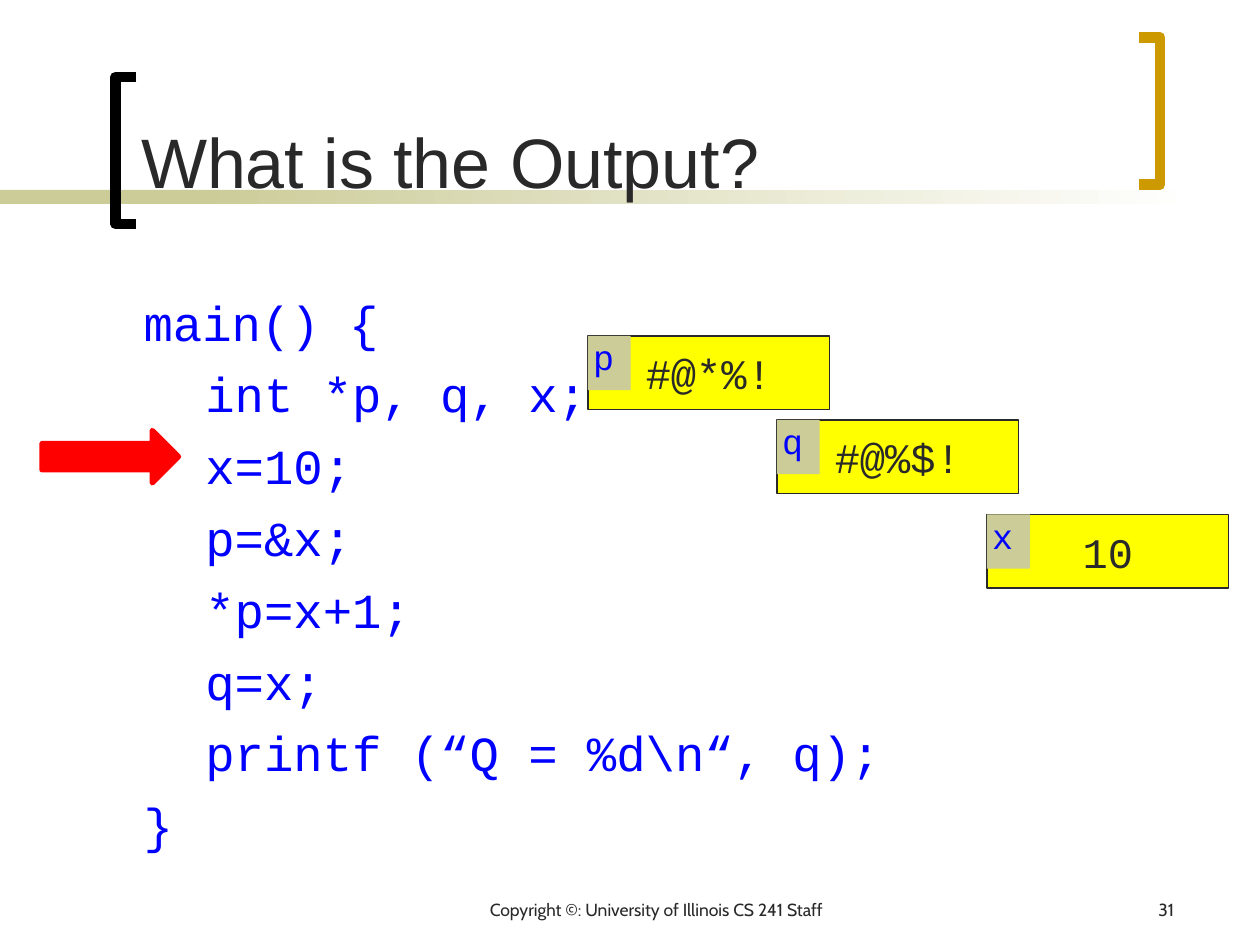
"""Build the slide that traces pointer variables through a short C program."""
from pptx import Presentation, util as u
from pptx.dml.color import RGBColor
from pptx.enum import shapes, text

BLACK = RGBColor(0x00, 0x00, 0x00)
WHITE = RGBColor(0xFF, 0xFF, 0xFF)
GOLD = RGBColor(0xCC, 0x99, 0x00)
KHAKI = RGBColor(0xCC, 0xCC, 0x99)
INK = RGBColor(0x29, 0x29, 0x29)
BLUE = RGBColor(0x00, 0x00, 0xFF)
YELLOW = RGBColor(0xFF, 0xFF, 0x00)
RED = RGBColor(0xFF, 0x00, 0x00)

CODE = [
    (0, "main() {"),
    (1, "int *p, q, x;"),
    (1, "x=10;"),
    (1, "p=&x;"),
    (1, "*p=x+1;"),
    (1, "q=x;"),
    (1, "printf (“Q = %d\\n“, q);"),
    (0, "}"),
]
VARIABLES = [("p", "#@*%!", 336, 192), ("q", "#@%$!", 444, 240), ("x", "10", 564, 294)]


class Deck:
    heading, mono, small = "Arial", "Courier New", "Cabin"
    code_indent, code_gap = 35.3, 7.4

    def __init__(self):
        self.presentation = Presentation()
        self.presentation.slide_width = u.Pt(720)
        self.presentation.slide_height = u.Pt(540)
        self.slide = self.presentation.slides.add_slide(self.presentation.slide_layouts[6])

    def shape(self, kind, box, fill, line=None, width=0.75):
        shape = self.slide.shapes.add_shape(kind, *map(u.Pt, box))
        shape.shadow.inherit = False
        shape.fill.solid()
        shape.fill.fore_color.rgb = fill
        if line is None:
            shape.line.fill.background()
        else:
            shape.line.color.rgb = line
            shape.line.width = u.Pt(width)
        return shape

    def rectangle(self, box, fill, line=None):
        return self.shape(shapes.MSO_SHAPE.RECTANGLE, box, fill, line)

    def fade(self, box, start, end):
        shape = self.rectangle(box, start)
        shape.fill.gradient()
        shape.fill.gradient_angle = 0
        for stop, color in zip(shape.fill.gradient_stops, (start, end)):
            stop.color.rgb = color

    def bracket(self, tip, spine, top, height, color):
        builder = self.slide.shapes.build_freeform(u.Pt(tip), u.Pt(top))
        corners = [(spine, top), (spine, top + height), (tip, top + height)]
        builder.add_line_segments([(u.Pt(x), u.Pt(y)) for x, y in corners], close=False)
        shape = builder.convert_to_shape()
        shape.shadow.inherit = False
        shape.fill.background()
        shape.line.color.rgb = color
        shape.line.width = u.Pt(6)

    def set_text(self, shape, lines, font, size, color, align=text.PP_ALIGN.LEFT,
                 anchor=text.MSO_ANCHOR.TOP, insets=(7.2, 3.6, 7.2, 3.6)):
        frame = shape.text_frame
        frame.text = "\n".join(lines)
        frame.word_wrap = True
        frame.vertical_anchor = anchor
        (frame.margin_left, frame.margin_top,
         frame.margin_right, frame.margin_bottom) = map(u.Pt, insets)
        for paragraph in frame.paragraphs:
            paragraph.alignment = align
            for run in paragraph.runs:
                run.font.name = font
                run.font.size = u.Pt(size)
                run.font.color.rgb = color
        return frame

    def label(self, box, content, font, size, color, **layout):
        shape = self.slide.shapes.add_textbox(*map(u.Pt, box))
        return self.set_text(shape, [content], font, size, color, **layout)

    def code(self, box, lines):
        shape = self.slide.shapes.add_textbox(*map(u.Pt, box))
        frame = self.set_text(shape, [line for _, line in lines], self.mono, 28, BLUE,
                              insets=(7.2, 3.6 + self.code_gap, 10, 3.6))
        for index, (level, _) in enumerate(lines):
            paragraph = frame.paragraphs[index]
            properties = paragraph._p.get_or_add_pPr()
            properties.set("marL", str(u.Pt(level * self.code_indent)))
            if index:
                paragraph.space_before = u.Pt(self.code_gap)

    def variable(self, value, left, top):
        width, height = 138, 42
        self.rectangle((left, top, width, height), YELLOW, INK)
        value_width = 14.4 * len(value) + 12
        self.label((left + (width - value_width) / 2, top + 3.5, value_width, 35),
                   value, self.mono, 24, INK, align=text.PP_ALIGN.CENTER,
                   anchor=text.MSO_ANCHOR.MIDDLE, insets=(3, 0, 3, 0))

    def tag(self, name, left, top):
        shape = self.rectangle((left, top, 24.5, 31), KHAKI)
        self.set_text(shape, [name], self.mono, 20, BLUE, insets=(3, 0, 3, 0))

    def arrow(self, box):
        self.shape(shapes.MSO_SHAPE.RIGHT_ARROW, box, RED, RED, 3)


def main():
    deck = Deck()
    deck.rectangle((0, 108.5, 168, 8), KHAKI)
    deck.fade((114, 108.5, 570, 8), KHAKI, WHITE)
    deck.bracket(78, 66, 44, 84, BLACK)
    deck.bracket(651, 663, 21.5, 84, GOLD)
    deck.label((73.5, 8, 564, 111.5), "What is the Output?", deck.heading, 40, INK,
               anchor=text.MSO_ANCHOR.BOTTOM, insets=(7.2, 3.6, 10, 3.6))
    deck.code((75, 156, 603, 324), CODE)
    for _, value, left, top in VARIABLES:
        deck.variable(value, left, top)
    for name, _, left, top in VARIABLES:
        deck.tag(name, left, top)
    deck.label((222, 510, 306, 18), "Copyright ©: University of Illinois CS 241 Staff",
               deck.small, 10, INK, align=text.PP_ALIGN.CENTER)
    deck.label((528, 510, 150, 18), "31", deck.small, 10, INK, align=text.PP_ALIGN.RIGHT)
    deck.arrow((24, 246, 78, 30))
    deck.presentation.save("out.pptx")


if __name__ == "__main__":
    main()
